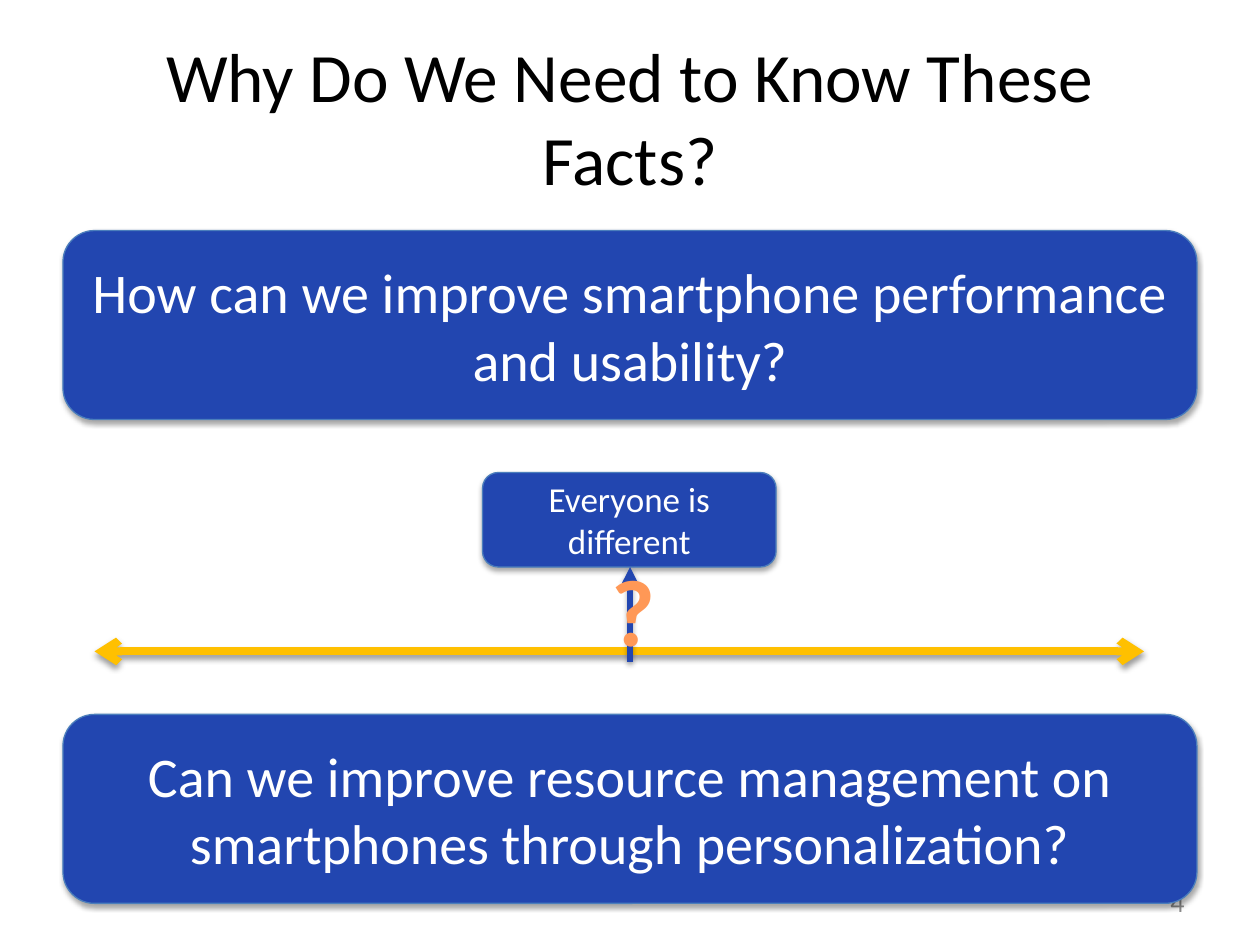
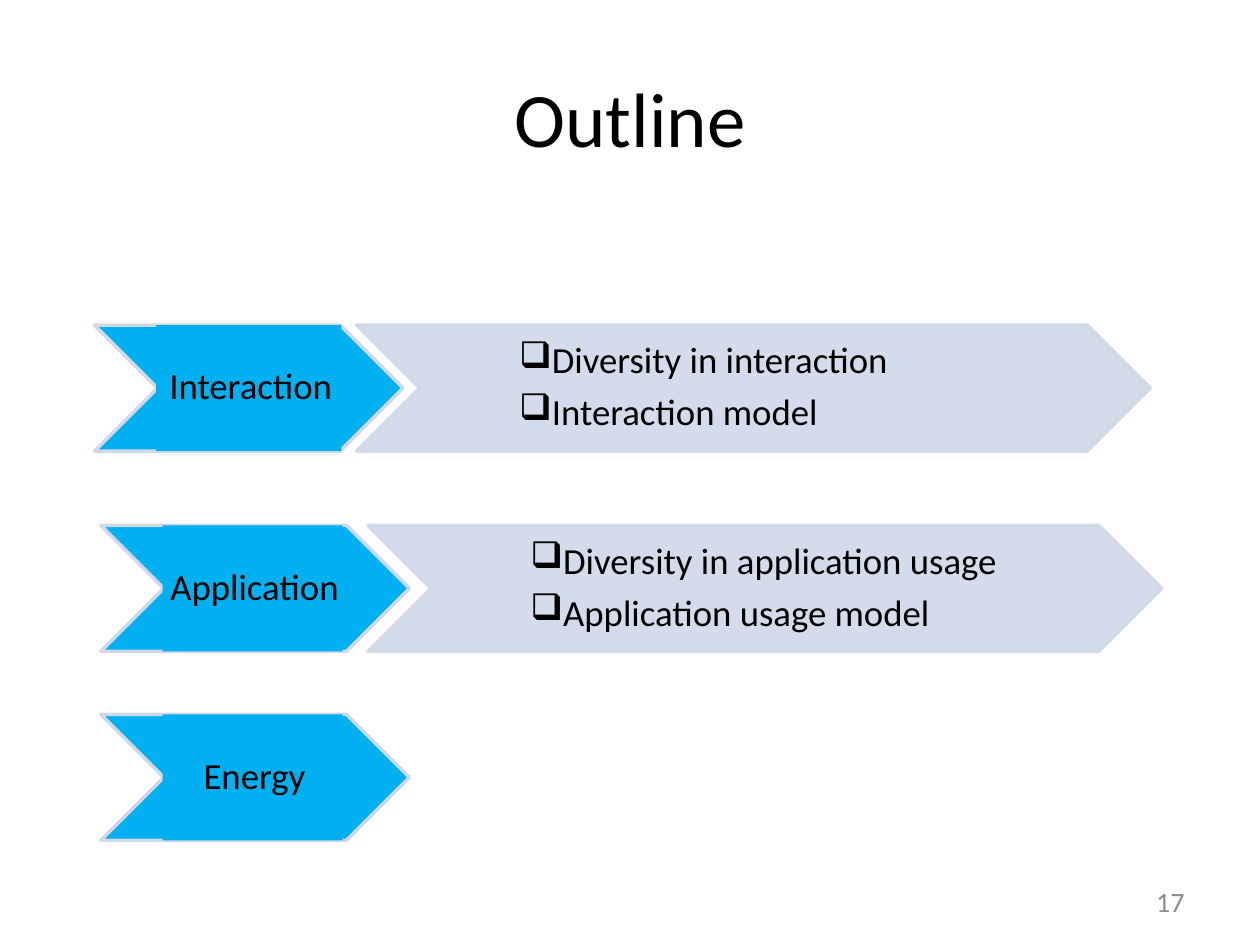
"""Build two slides: why smartphone facts matter, and the talk outline."""
from lxml import etree
from pptx import Presentation
from pptx.dml.color import RGBColor
from pptx.enum.shapes import MSO_CONNECTOR, MSO_SHAPE
from pptx.enum.text import MSO_ANCHOR as ANCHOR, MSO_AUTO_SIZE, PP_ALIGN as ALIGN
from pptx.oxml import parse_xml
from pptx.oxml.ns import nsdecls, qn
from pptx.util import Pt

PX = 9144
FONT = "Calibri"
BLACK = RGBColor(0x00, 0x00, 0x00)
WHITE = RGBColor(0xFF, 0xFF, 0xFF)
GREY = RGBColor(0x8C, 0x8C, 0x8C)
ROYAL = RGBColor(0x22, 0x46, 0xB0)
EDGE = RGBColor(0x4B, 0x7E, 0xBC)
GOLD = RGBColor(0xFF, 0xC0, 0x00)
ORANGE = RGBColor(0xFF, 0x98, 0x56)
SKY = RGBColor(0x00, 0xB0, 0xF0)
MIST = RGBColor(0xD0, 0xD8, 0xE8)


def write(shape, lines, size, color, align=ALIGN.CENTER, anchor=ANCHOR.MIDDLE,
          tight=False, bullet=None):
    frame = shape.text_frame
    frame.word_wrap = True
    frame.auto_size = MSO_AUTO_SIZE.NONE
    frame.vertical_anchor = anchor
    if tight:
        frame.margin_left, frame.margin_right = 3 * PX, 0
        frame.margin_top = frame.margin_bottom = PX
    for index, line in enumerate(lines):
        paragraph = frame.add_paragraph() if index else frame.paragraphs[0]
        if bullet:
            etree.SubElement(paragraph._p.get_or_add_pPr(), qn("a:buChar"), char=bullet)
        paragraph.alignment = align
        if tight:
            paragraph.line_spacing = 0.9
            paragraph.space_after = Pt(7)
        run = paragraph.add_run()
        run.text = line
        run.font.name, run.font.size, run.font.color.rgb = FONT, Pt(size), color


def add_block(slide, preset, box, fill, edge=None, width=0, opacity=100):
    block = slide.shapes.add_shape(preset, *(n * PX for n in box))
    block.shadow.inherit = False
    block.fill.solid()
    block.fill.fore_color.rgb = fill
    if edge is None:
        block.line.fill.background()
    else:
        block.line.color.rgb = edge
        block.line.width = Pt(width)
    if opacity < 100:
        for color in block._element.spPr.iter(qn("a:srgbClr")):
            etree.SubElement(color, qn("a:alpha"), val=str(opacity * 1000))
    return block


prs = Presentation()
prs.slide_width, prs.slide_height = 1000 * PX, 750 * PX

slides = []
for heading, heading_size, number in (
    ("Why Do We Need to Know These Facts?", 39.6, "4"),
    ("Outline", 44, "17"),
):
    slide = prs.slides.add_slide(prs.slide_layouts[5])
    title = slide.shapes.title
    title.left, title.top, title.width, title.height = 50 * PX, 30 * PX, 900 * PX, 125 * PX
    write(title, [heading], heading_size, BLACK)
    page = slide.shapes.add_textbox(717 * PX, 695 * PX, 233 * PX, 40 * PX)
    write(page, [number], 16, GREY, ALIGN.RIGHT)
    slides.append(slide)
why, outline = slides

shadowed = []
for box, size, text in (
    ((50, 183, 900, 150), 32, "How can we improve smartphone performance and usability?"),
    ((383, 375, 233, 75), 20, "Everyone is different"),
    ((50, 567, 900, 150), 32,
     "Can we improve resource management on smartphones through personalization?"),
):
    panel = add_block(why, MSO_SHAPE.ROUNDED_RECTANGLE, box, ROYAL, EDGE, 0.75)
    write(panel, [text], size, WHITE)
    shadowed.append((panel, 35))

for ends, color, width, tips in (
    ((908, 517, 75, 517), GOLD, 4.5, (("headEnd", "arrow"), ("tailEnd", "arrow"))),
    ((500, 525, 500, 450), ROYAL, 3, (("tailEnd", "triangle"),)),
):
    arrow = why.shapes.add_connector(MSO_CONNECTOR.STRAIGHT, *(n * PX for n in ends))
    arrow.line.color.rgb = color
    arrow.line.width = Pt(width)
    for tip, kind in tips:
        etree.SubElement(arrow.line._get_or_add_ln(), qn(f"a:{tip}"), type=kind)
    etree.SubElement(arrow._element.spPr, qn("a:effectLst"))
    shadowed.append((arrow, 38))

for caster, strength in shadowed:
    caster._element.spPr.find(qn("a:effectLst")).append(parse_xml(
        f'<a:outerShdw {nsdecls("a")} blurRad="40000" dist="23000" dir="5400000" '
        f'rotWithShape="0"><a:srgbClr val="000000"><a:alpha val="{strength * 1000}"/>'
        '</a:srgbClr></a:outerShdw>'))

question = why.shapes.add_textbox(475 * PX, 433 * PX, 56 * PX, 101 * PX)
write(question, ["?"], 54, ORANGE, anchor=ANCHOR.TOP)
question.text_frame.word_wrap = False
question.text_frame.paragraphs[0].runs[0].font.bold = True

for topic, left, top, label_width, detail_left, details in (
    ("Interaction", 75, 258, 147, 283, ["Diversity in interaction", "Interaction model"]),
    ("Application", 80, 417, 143, 292,
     ["Diversity in application usage", "Application usage model"]),
    ("Energy", 80, 567, 143, None, []),
):
    if details:
        add_block(outline, MSO_SHAPE.CHEVRON, (detail_left, top, 630, 100), MIST, MIST, 2, 90)
        points = outline.shapes.add_textbox(
            (detail_left + 126) * PX, top * PX, 378 * PX, 100 * PX)
        write(points, details, 21, BLACK, ALIGN.LEFT, tight=True, bullet="❑")
    add_block(outline, MSO_SHAPE.CHEVRON, (left, top, 245, 100), SKY, MIST, 2)
    label = add_block(outline, MSO_SHAPE.RECTANGLE, (left + 49, top, label_width, 100), SKY)
    write(label, [topic], 21, BLACK, tight=True)

prs.save("out.pptx")
